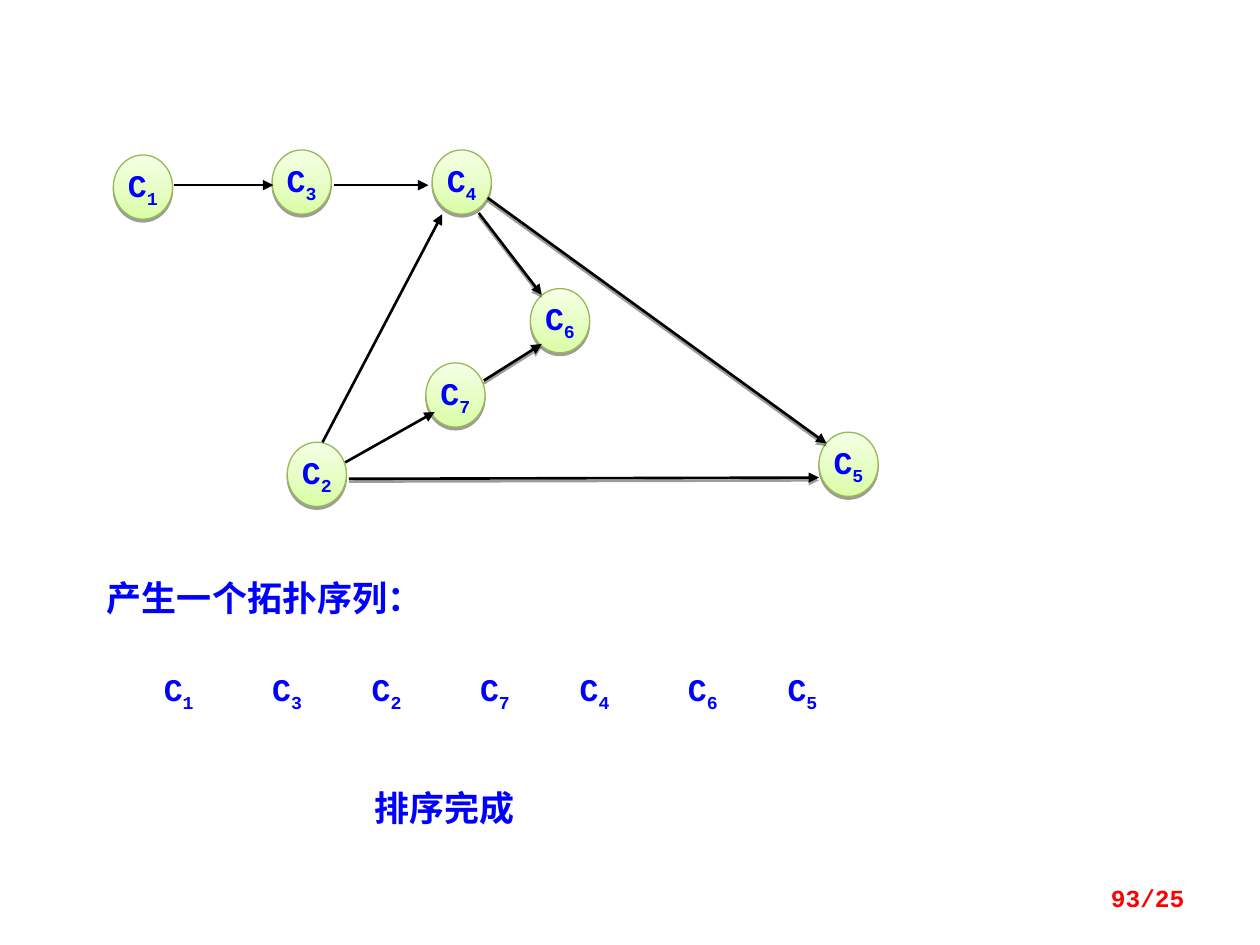
import pptx
import pptx.util
import pptx.dml.color
import pptx.enum.shapes
import pptx.enum.text
import pptx.oxml
import pptx.oxml.ns

Inches = pptx.util.Inches
Pt = pptx.util.Pt
RGBColor = pptx.dml.color.RGBColor
ALIGN = pptx.enum.text.PP_ALIGN
ANCHOR = pptx.enum.text.MSO_ANCHOR

BLUE = RGBColor(0x00, 0x00, 0xFF)
RED = RGBColor(0xFF, 0x00, 0x00)
BLACK = RGBColor(0x00, 0x00, 0x00)
NODE_BOTTOM = RGBColor(0xDA, 0xFD, 0xA7)
NODE_TOP = RGBColor(0xF5, 0xFF, 0xE6)
NODE_EDGE = RGBColor(0x98, 0xB9, 0x54)

SHADOW_XML = (
    f'<a:outerShdw {pptx.oxml.ns.nsdecls("a")} blurRad="0" dist="20000" '
    'dir="5400000" rotWithShape="0"><a:srgbClr val="000000">'
    '<a:alpha val="38000"/></a:srgbClr></a:outerShdw>'
)
ARROW_XML = f'<a:tailEnd {pptx.oxml.ns.nsdecls("a")} type="triangle"/>'
NO_EFFECT_XML = f'<a:effectLst {pptx.oxml.ns.nsdecls("a")}/>'


class GraphSlide:
    font = "Courier New"
    node_width = 0.47
    node_height = 0.51

    def __init__(self, slide):
        self.shapes = slide.shapes

    def style(self, paragraph, size, color):
        for run in paragraph.runs:
            run.font.name = self.font
            run.font.size = Pt(size)
            run.font.bold = True
            run.font.color.rgb = color

    def course_name(self, paragraph, number):
        """Write C with the course number as a subscript."""
        paragraph.add_run().text = "C"
        index = paragraph.add_run()
        index.text = str(number)
        self.style(paragraph, 18, BLUE)
        index.font._element.set("baseline", "-25000")

    def cast_shadow(self, shape):
        shape.shadow.inherit = False
        effects = shape._element.spPr.find(pptx.oxml.ns.qn("a:effectLst"))
        effects.append(pptx.oxml.parse_xml(SHADOW_XML))

    def node(self, number, left, top):
        oval = self.shapes.add_shape(
            pptx.enum.shapes.MSO_SHAPE.OVAL, Inches(left), Inches(top),
            Inches(self.node_width), Inches(self.node_height))
        oval.fill.gradient()
        oval.fill.gradient_angle = 90
        for stop, color, position in zip(
                oval.fill.gradient_stops, (NODE_BOTTOM, NODE_TOP), (0, 1)):
            stop.color.rgb = color
            stop.position = position
        oval.line.color.rgb = NODE_EDGE
        oval.line.width = Pt(0.75)
        self.cast_shadow(oval)
        frame = oval.text_frame
        frame.word_wrap = False
        frame.vertical_anchor = ANCHOR.MIDDLE
        label = frame.paragraphs[0]
        label.alignment = ALIGN.CENTER
        label.line_spacing = 0.8
        self.course_name(label, number)

    def arrow_line(self, line):
        line.color.rgb = BLACK
        line.width = Pt(1.5)
        line._get_or_add_ln().append(pptx.oxml.parse_xml(ARROW_XML))

    def arrow(self, start, end):
        edge = self.shapes.add_connector(
            pptx.enum.shapes.MSO_CONNECTOR.STRAIGHT,
            *(Inches(value) for value in start + end))
        self.arrow_line(edge.line)
        edge._element.spPr.append(pptx.oxml.parse_xml(NO_EFFECT_XML))

    def shadowed_arrow(self, start, end):
        builder = self.shapes.build_freeform(*map(Inches, start))
        builder.add_line_segments([tuple(map(Inches, end))], close=False)
        edge = builder.convert_to_shape()
        edge.fill.background()
        self.arrow_line(edge.line)
        self.cast_shadow(edge)

    def box(self, left, top, width, height):
        frame = self.shapes.add_textbox(
            Inches(left), Inches(top), Inches(width), Inches(height)).text_frame
        frame.word_wrap = True
        return frame

    def text(self, words, place, size=20, color=BLUE):
        frame = self.box(*place)
        frame.text = words
        self.style(frame.paragraphs[0], size, color)
        return frame

    def sequence_item(self, number, left, top):
        frame = self.box(left, top, 0.71, 0.34)
        frame.margin_left = frame.margin_right = 0
        frame.margin_top = frame.margin_bottom = 0
        self.course_name(frame.paragraphs[0], number)


def main():
    deck = pptx.Presentation()
    deck.slide_width = Inches(10)
    deck.slide_height = Inches(7.5)
    graph = GraphSlide(deck.slides.add_slide(deck.slide_layouts[6]))

    # Courses
    courses = {1: (0.9, 1.23), 3: (2.16, 1.19), 4: (3.43, 1.19), 2: (2.28, 3.51),
               7: (3.38, 2.88), 6: (4.21, 2.29), 5: (6.5, 3.43)}
    for number, (left, top) in courses.items():
        graph.node(number, left, top)

    # Prerequisites
    for start, end in [((1.38, 1.47), (2.17, 1.47)),    # C1 to C3
                       ((2.65, 1.47), (3.4, 1.47)),     # C3 to C4
                       ((2.56, 3.51), (3.51, 1.7)),     # C2 to C4
                       ((2.74, 3.67), (3.45, 3.27))]:   # C2 to C7
        graph.arrow(start, end)
    for start, end in [((3.84, 3.02), (4.3, 2.73)),     # C7 to C6
                       ((3.87, 1.57), (6.56, 3.52)),    # C4 to C5
                       ((2.77, 3.8), (6.5, 3.79)),      # C2 to C5
                       ((3.8, 1.69), (4.3, 2.34))]:     # C4 to C6
        graph.shadowed_arrow(start, end)

    # Topological order, set in pairs
    graph.text("产生一个拓扑序列：", (0.75, 4.53, 3.78, 0.44))
    for place, number in enumerate((1, 3, 2, 7, 4, 6, 5)):
        pair, second = divmod(place, 2)
        graph.sequence_item(number, 1.3 + 1.65 * pair + 0.86 * second, 5.32)
    graph.text("排序完成", (2.87, 6.19, 1.89, 0.44))

    # Page number
    page = graph.text("93/25", (7.17, 6.95, 2.33, 0.4), 14, RED)
    page.vertical_anchor = ANCHOR.MIDDLE
    page.paragraphs[0].alignment = ALIGN.RIGHT
    page.paragraphs[0].line_spacing = 0.8

    deck.save("out.pptx")


if __name__ == "__main__":
    main()
